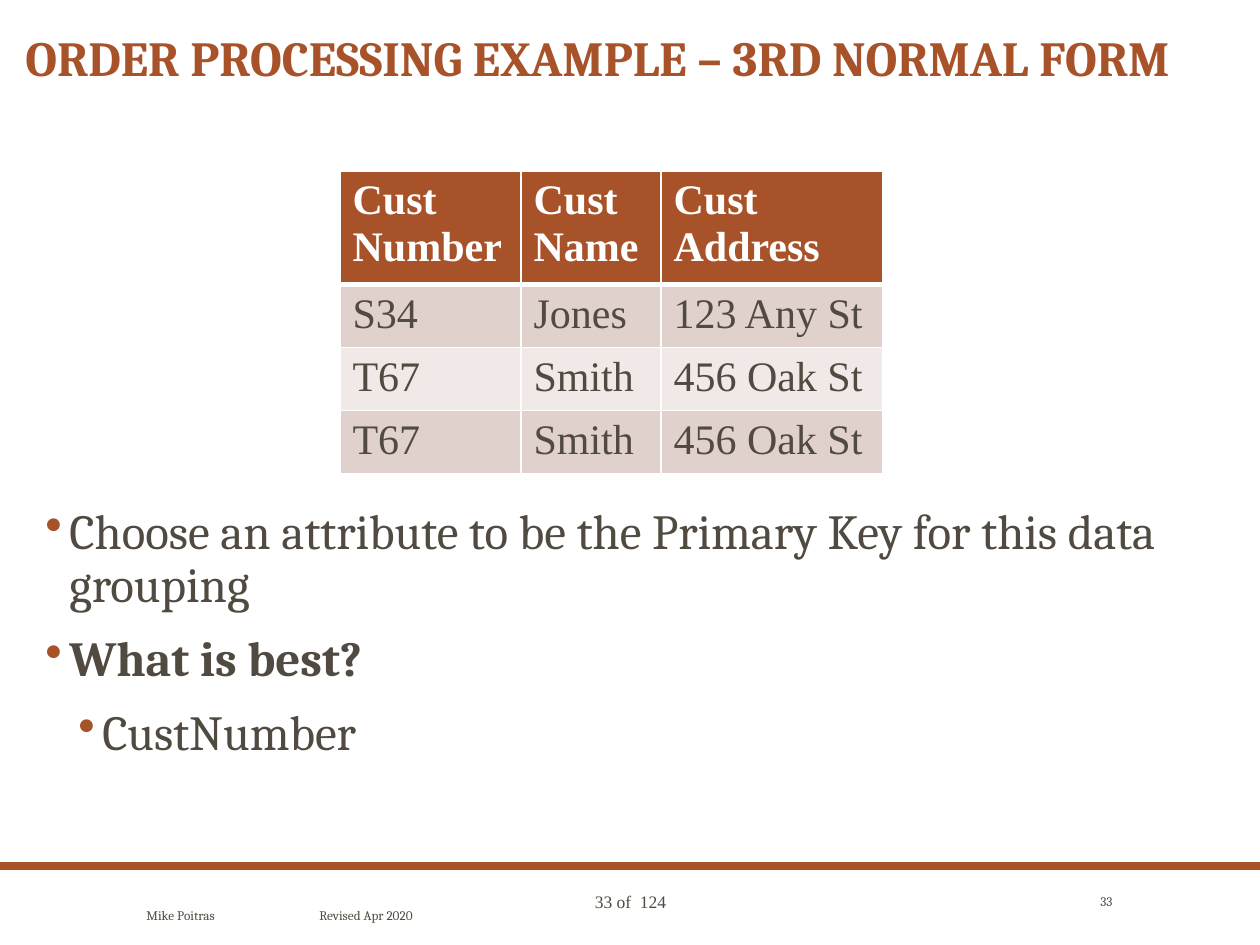
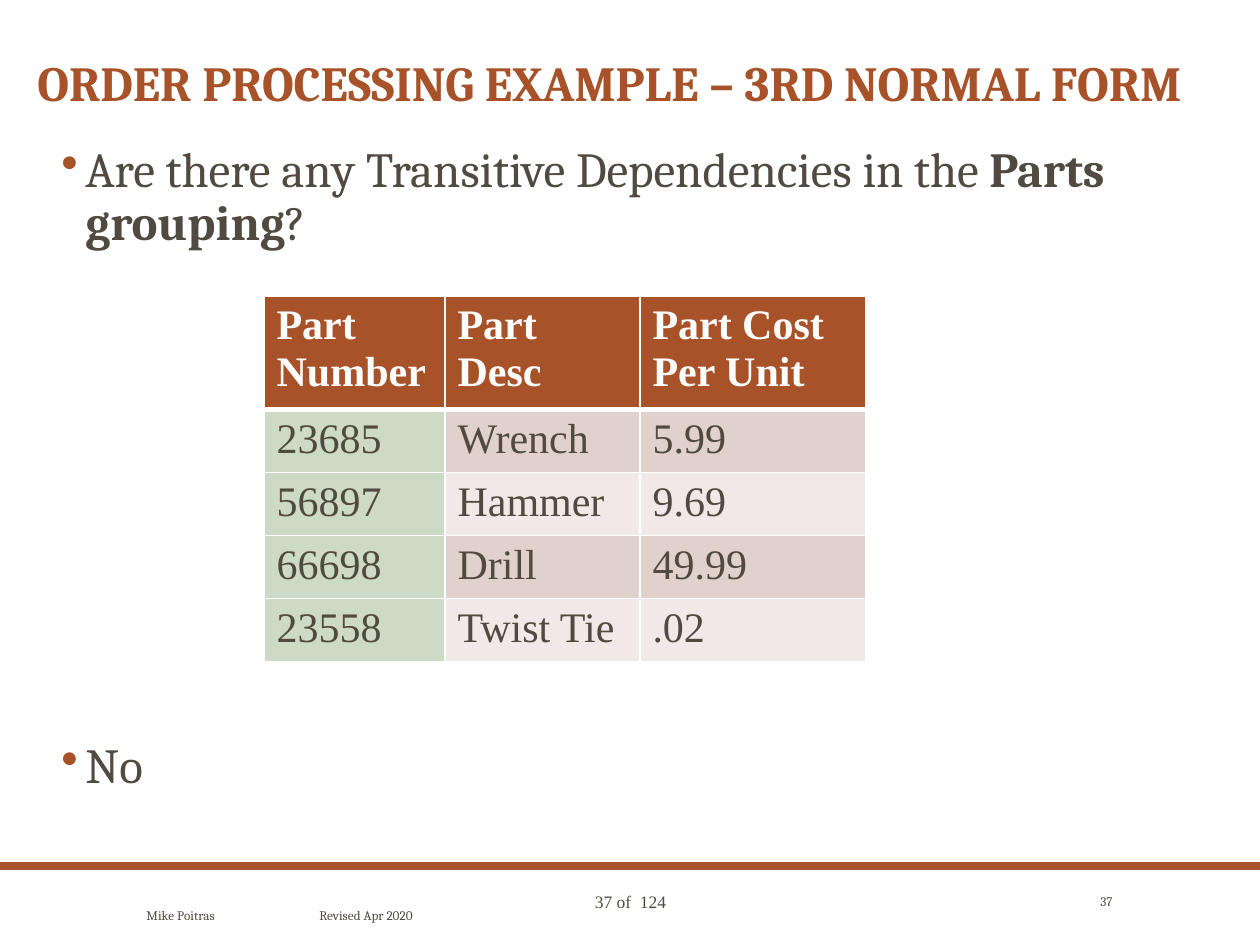
"""Build two slides on third normal form in an order processing example."""
from lxml import etree
from pptx import Presentation
from pptx.dml.color import RGBColor
from pptx.enum.shapes import MSO_SHAPE
from pptx.enum.text import MSO_ANCHOR, PP_ALIGN
from pptx.oxml.ns import qn
from pptx.util import Pt

RUST = RGBColor(0xA8, 0x52, 0x29)
INK = RGBColor(0x51, 0x4A, 0x40)
WHITE = RGBColor(0xFF, 0xFF, 0xFF)
ROSE = RGBColor(0xE1, 0xD1, 0xCD)
PALE_ROSE = RGBColor(0xF1, 0xE9, 0xE8)
KEY_GREEN = RGBColor(0xCD, 0xDB, 0xC6)
SERIF = "Cambria"
ROMAN = "Times New Roman"

TITLE = "ORDER PROCESSING EXAMPLE – 3RD NORMAL FORM"
PAGE_TOTAL = 124
AUTHOR, REVISION = "Mike Poitras", "Revised Apr 2020"
REVISION_TAB = 173

SLIDES = [
    {
        "page": 33,
        "title_box": (13, 28, 1226, 69),
        "bullet_box": (28, 501, 1200, 338),
        "bullets": [
            {"runs": [("Choose an attribute to be the Primary Key for this data grouping", False)]},
            {"runs": [("What is best?", True)]},
            {"runs": [("CustNumber", False)], "level": 1},
        ],
        "table_box": (340, 171, 543, 302),
        "columns": [181, 140, 222],
        "header_height": 94,
        "key_marked": False,
        "rows": [
            ("Cust Number", "Cust Name", "Cust\nAddress"),
            ("S34", "Jones", "123 Any St"),
            ("T67", "Smith", "456 Oak St"),
            ("T67", "Smith", "456 Oak St"),
        ],
    },
    {
        "page": 37,
        "title_box": (25, 53, 1210, 69),
        "bullet_box": (44, 139, 1150, 700),
        "bullets": [
            {"runs": [("Are there any Transitive Dependencies in the ", False),
                      ("Parts grouping", True), ("?", False)]},
            {"runs": [("No", False)], "before": 268},
        ],
        "table_box": (264, 296, 602, 365),
        "columns": [181, 195, 226],
        "header_height": 112,
        "key_marked": True,
        "rows": [
            ("Part Number", "Part Desc", "Part Cost Per Unit"),
            ("23685", "Wrench", "5.99"),
            ("56897", "Hammer", "9.69"),
            ("66698", "Drill", "49.99"),
            ("23558", "Twist Tie", ".02"),
        ],
    },
]

ROW_HEIGHT = 52
BULLET_LEFT = (29, 62)
BULLET_HANG = 24
BULLET_AFTER = (12, 6)


def px(length):
    return round(length * 914400 / 126)


def add_run(paragraph, words, size, font=SERIF, color=INK, bold=False):
    run = paragraph.add_run()
    run.text = words
    run.font.size = Pt(size)
    run.font.name = font
    run.font.color.rgb = color
    run.font.bold = bold


def add_box(slide, box, anchor=MSO_ANCHOR.TOP):
    frame = slide.shapes.add_textbox(*map(px, box)).text_frame
    frame.word_wrap = True
    frame.vertical_anchor = anchor
    return frame


def add_title(slide, box):
    paragraph = add_box(slide, box).paragraphs[0]
    paragraph.line_spacing = 0.9
    add_run(paragraph, TITLE, 28, color=RUST, bold=True)


def add_footer(slide, page):
    band = slide.shapes.add_shape(MSO_SHAPE.RECTANGLE, *map(px, (0, 862, 1260, 8)))
    band.shadow.inherit = False
    band.fill.solid()
    band.fill.fore_color.rgb = RUST
    band.line.fill.background()

    count = add_box(slide, (444, 885, 373, 34)).paragraphs[0]
    count.alignment = PP_ALIGN.CENTER
    add_run(count, f"{page} of  {PAGE_TOTAL}", 10, ROMAN)

    credit = add_box(slide, (134, 885, 993, 60), MSO_ANCHOR.MIDDLE).paragraphs[0]
    tabs = etree.SubElement(credit._p.get_or_add_pPr(), qn("a:tabLst"))
    etree.SubElement(tabs, qn("a:tab"), pos=str(px(REVISION_TAB)), algn="l")
    add_run(credit, f"{AUTHOR}\t{REVISION}", 7.5)

    number = add_box(slide, (1053, 885, 72, 33), MSO_ANCHOR.MIDDLE).paragraphs[0]
    number.alignment = PP_ALIGN.RIGHT
    add_run(number, str(page), 7.5)


def add_bullets(slide, box, bullets):
    frame = add_box(slide, box)
    for index, bullet in enumerate(bullets):
        paragraph = frame.add_paragraph() if index else frame.paragraphs[0]
        level = bullet.get("level", 0)
        properties = paragraph._p.get_or_add_pPr()
        properties.set("marL", str(px(BULLET_LEFT[level])))
        properties.set("indent", str(-px(BULLET_HANG)))
        color = etree.SubElement(properties, qn("a:buClr"))
        etree.SubElement(color, qn("a:srgbClr"), val=str(RUST))
        etree.SubElement(properties, qn("a:buChar"), char="•")
        paragraph.level = level
        paragraph.line_spacing = 0.9
        paragraph.space_after = Pt(BULLET_AFTER[level])
        if "before" in bullet:
            paragraph.space_before = Pt(bullet["before"])
        for words, bold in bullet["runs"]:
            add_run(paragraph, words, 28, bold=bold)


def add_borders(cell, header):
    properties = cell._tc.get_or_add_tcPr()
    for side in ("L", "R", "T", "B"):
        width = 3 if header and side == "B" else 1
        border = etree.SubElement(properties, qn(f"a:ln{side}"), w=str(Pt(width)))
        fill = etree.SubElement(border, qn("a:solidFill"))
        etree.SubElement(fill, qn("a:srgbClr"), val=str(WHITE))


def cell_fill(row, column, key_marked):
    if row == 0:
        return RUST
    if key_marked and column == 0:
        return KEY_GREEN
    return ROSE if row % 2 else PALE_ROSE


def add_grouping(slide, content):
    rows, columns = content["rows"], content["columns"]
    left, top, width, height = map(px, content["table_box"])
    holder = slide.shapes.add_table(len(rows), len(columns), left, top, width, height)
    grouping = holder.table
    for column, column_width in zip(grouping.columns, columns):
        column.width = px(column_width)
    for r, values in enumerate(rows):
        header = r == 0
        grouping.rows[r].height = px(content["header_height"] if header else ROW_HEIGHT)
        for c, value in enumerate(values):
            cell = grouping.cell(r, c)
            add_borders(cell, header)
            cell.fill.solid()
            cell.fill.fore_color.rgb = cell_fill(r, c, content["key_marked"])
            for index, line in enumerate(value.split("\n")):
                frame = cell.text_frame
                paragraph = frame.add_paragraph() if index else frame.paragraphs[0]
                add_run(paragraph, line, 24, ROMAN, WHITE if header else INK, header)
    holder.height = height


def main():
    deck = Presentation()
    deck.slide_width, deck.slide_height = px(1260), px(945)
    for content in SLIDES:
        slide = deck.slides.add_slide(deck.slide_layouts[6])
        add_footer(slide, content["page"])
        add_title(slide, content["title_box"])
        add_bullets(slide, content["bullet_box"], content["bullets"])
        add_grouping(slide, content)
    deck.save("out.pptx")


if __name__ == "__main__":
    main()
